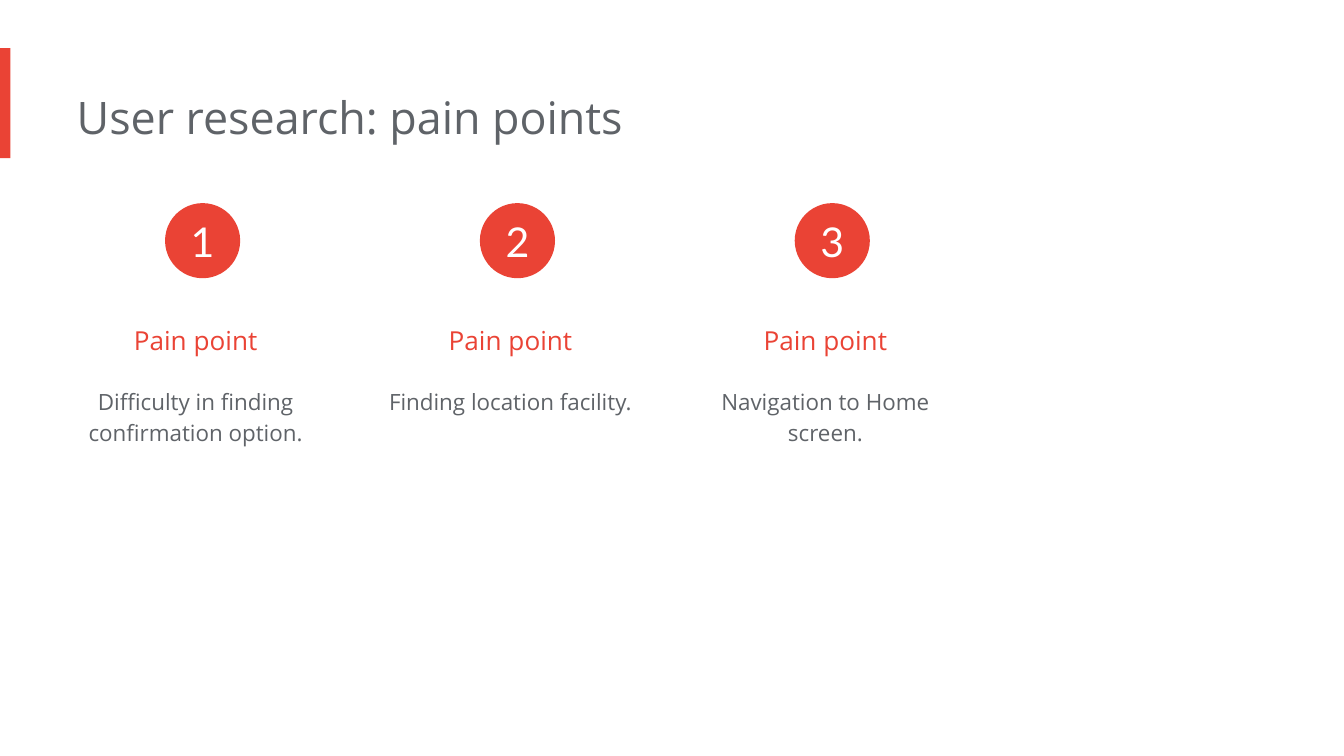
from dataclasses import dataclass

from pptx import Presentation
from pptx.dml.color import RGBColor
from pptx.enum.shapes import MSO_SHAPE
from pptx.enum.text import MSO_ANCHOR, MSO_AUTO_SIZE, PP_ALIGN
from pptx.util import Cm, Pt

RECT, OVAL = MSO_SHAPE.RECTANGLE, MSO_SHAPE.OVAL
LEFT, CENTER = PP_ALIGN.LEFT, PP_ALIGN.CENTER
TOP, MIDDLE = MSO_ANCHOR.TOP, MSO_ANCHOR.MIDDLE
GROW, FIXED = MSO_AUTO_SIZE.SHAPE_TO_FIT_TEXT, MSO_AUTO_SIZE.NONE
TITLE_ONLY = 5


@dataclass(frozen=True)
class Theme:
    accent: RGBColor = RGBColor(0xEA, 0x43, 0x35)
    gray: RGBColor = RGBColor(0x5F, 0x63, 0x68)
    white: RGBColor = RGBColor(0xFF, 0xFF, 0xFF)
    font: str = "Open Sans"
    number_font: str = "Lato"
    title_size: int = 24
    number_size: int = 22
    heading_size: int = 14
    body_size: int = 12


THEME = Theme()

PAIN_POINTS = [
    # description, height of its box in cm
    ("Difficulty in finding confirmation option.", 1.7),
    ("Finding location facility.", 1.09),
    ("Navigation to Home screen.", 1.7),
]
COLUMN_LEFT, COLUMN_STEP, COLUMN_WIDTH = 1.22, 5.95, 5.21
BADGE_OFFSET, BADGE_SIZE = 1.9, 1.42


def set_text(sp, text, *, size, color=THEME.gray, font=THEME.font, align=CENTER,
             spacing=1.0, anchor=TOP, inset=0.25, auto_size=GROW):
    tf = sp.text_frame
    tf.word_wrap = True
    tf.auto_size = auto_size
    tf.vertical_anchor = anchor
    tf.margin_left = 0
    tf.margin_top = tf.margin_right = tf.margin_bottom = Cm(inset)
    p = tf.paragraphs[0]
    p.alignment = align
    p.line_spacing = spacing
    r = p.add_run()
    r.text = text
    r.font.size = Pt(size)
    r.font.name = font
    r.font.color.rgb = color


def add_filled(slide, kind, left, top, width, height):
    sp = slide.shapes.add_shape(kind, Cm(left), Cm(top), Cm(width), Cm(height))
    sp.shadow.inherit = False
    sp.fill.solid()
    sp.fill.fore_color.rgb = THEME.accent
    sp.line.fill.background()
    return sp


def add_text(slide, left, top, width, height, text, **fmt):
    sp = slide.shapes.add_textbox(Cm(left), Cm(top), Cm(width), Cm(height))
    set_text(sp, text, **fmt)


def add_title(slide, text):
    sp = slide.shapes.title
    sp.left, sp.top, sp.width, sp.height = Cm(1.45), Cm(1.45), Cm(17.1), Cm(1.55)
    set_text(sp, text, size=THEME.title_size, align=LEFT)


def add_pain_point(slide, index, description, height):
    left = COLUMN_LEFT + index * COLUMN_STEP
    badge = add_filled(slide, OVAL, left + BADGE_OFFSET, 3.84, BADGE_SIZE, BADGE_SIZE)
    set_text(badge, str(index + 1), size=THEME.number_size, color=THEME.white,
             font=THEME.number_font, anchor=MIDDLE, inset=0, auto_size=FIXED)
    add_text(slide, left, 5.59, COLUMN_WIDTH, 1.12, "Pain point",
             size=THEME.heading_size, color=THEME.accent, spacing=1.5)
    add_text(slide, left, 7.01, COLUMN_WIDTH, height, description,
             size=THEME.body_size, spacing=1.15)


def main():
    prs = Presentation()
    prs.slide_width, prs.slide_height = Cm(25.4), Cm(14.29)
    slide = prs.slides.add_slide(prs.slide_layouts[TITLE_ONLY])

    # Accent bar and title
    add_filled(slide, RECT, 0, 0.91, 0.2, 2.08)
    add_title(slide, "User research: pain points")

    # Numbered columns
    for i, (description, height) in enumerate(PAIN_POINTS):
        add_pain_point(slide, i, description, height)

    prs.save("out.pptx")


if __name__ == "__main__":
    main()
